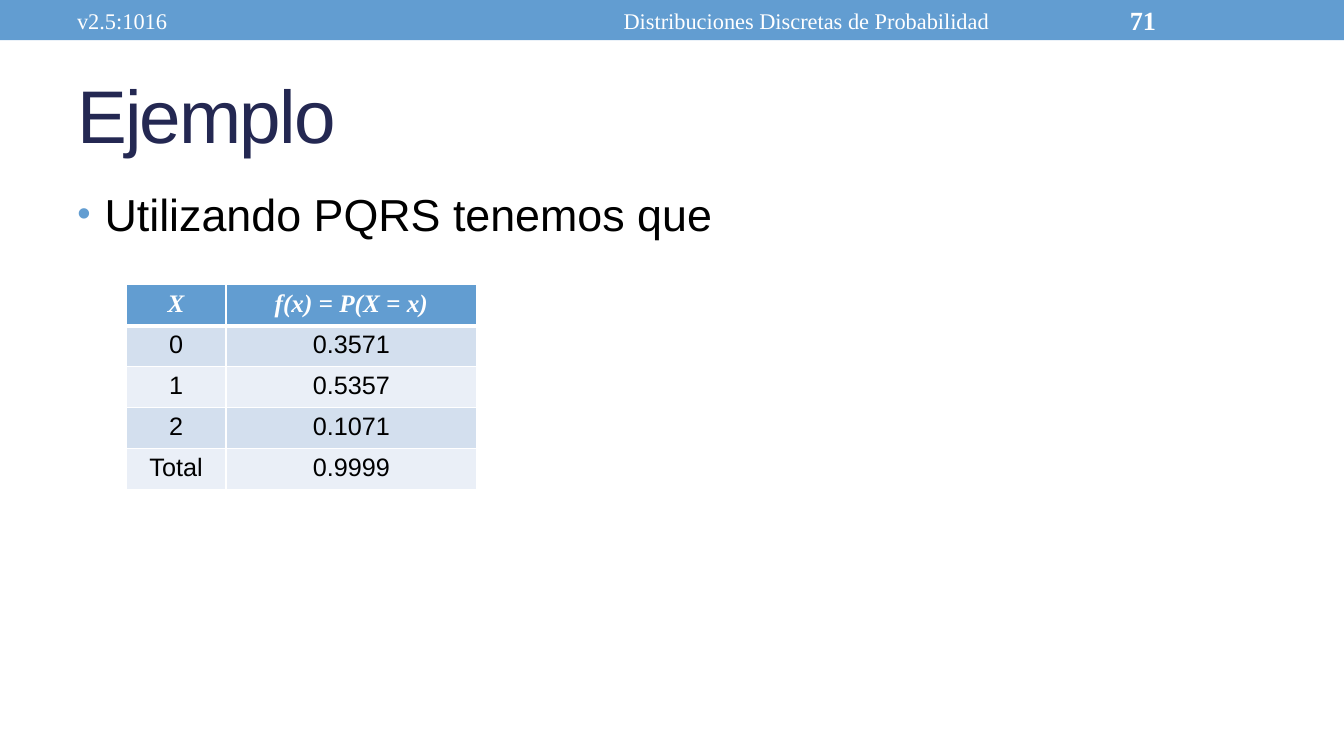
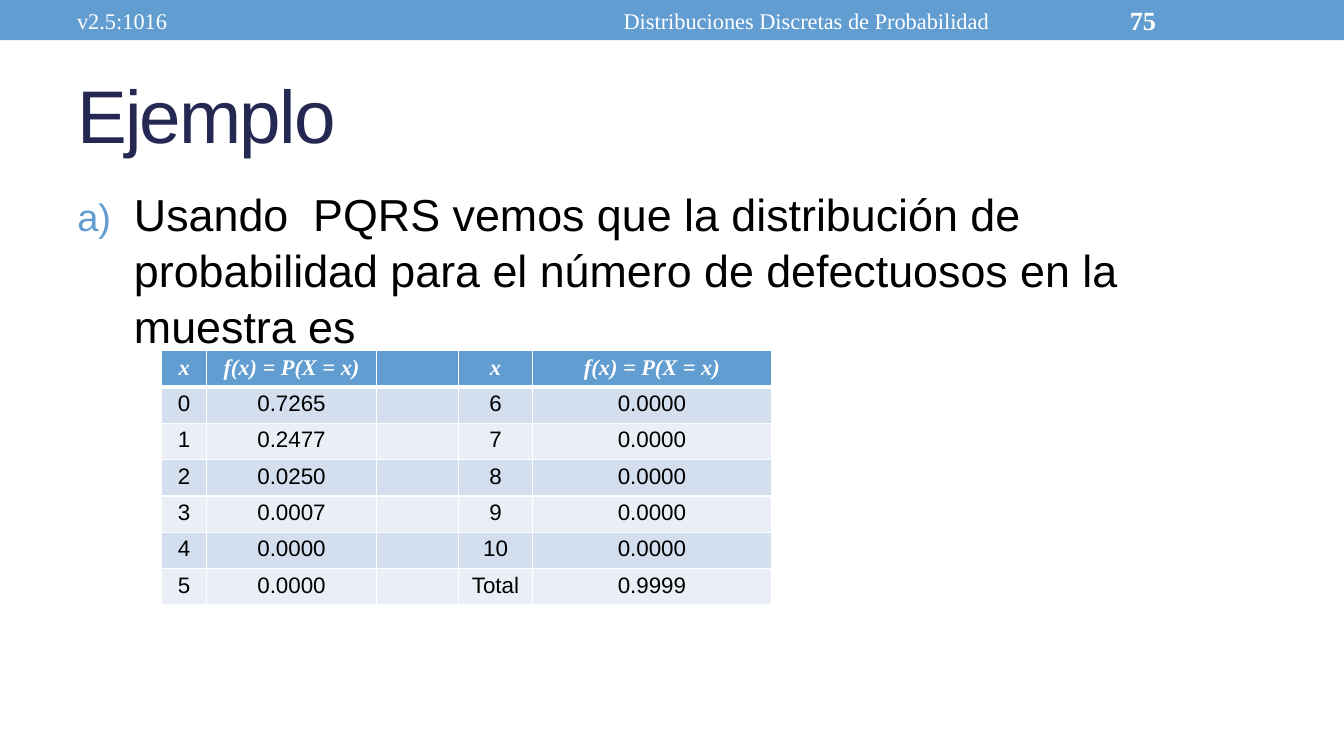
"""Build two example slides with tables of discrete probability distributions."""
import pptx
import pptx.dml.color
import pptx.enum.shapes
import pptx.enum.text
import pptx.oxml
import pptx.oxml.ns
import pptx.util

Pt = pptx.util.Pt
RGB = pptx.dml.color.RGBColor
ALIGN = pptx.enum.text.PP_ALIGN
ANCHOR = pptx.enum.text.MSO_ANCHOR
BLUE = RGB(0x62, 0x9D, 0xD1)
NAVY = RGB(0x24, 0x28, 0x52)
BLACK = RGB(0, 0, 0)
WHITE = RGB(0xFF, 0xFF, 0xFF)
BANDS = [RGB(0xD3, 0xDF, 0xEE), RGB(0xEA, 0xEF, 0xF7)]
SANS = "Arial"
SERIF = "Times New Roman"
NS = pptx.oxml.ns.nsdecls("a")


def say(frame, text, size, color, font=SANS, bold=False, italic=False,
        align=ALIGN.LEFT, anchor=ANCHOR.TOP, track=0):
    frame.word_wrap = True
    frame.auto_size = pptx.enum.text.MSO_AUTO_SIZE.NONE
    frame.vertical_anchor = anchor
    para = frame.paragraphs[0]
    para.alignment = align
    para.space_before = Pt(0)
    if not text:
        para._p.append(pptx.oxml.parse_xml(
            f'<a:endParaRPr {NS} sz="{size * 100}"/>'))
        return para
    run = para.add_run()
    run.text = text
    run.font.size = Pt(size)
    run.font.name = font
    run.font.bold = bold
    run.font.italic = italic
    run.font.color.rgb = color
    if track:
        run._r.get_or_add_rPr().set("spc", str(track))
    return para


HEAD = "f(x) = P(X = x)"
PAGES = [
    dict(num="71", text="Utilizando PQRS tenemos que", indent=19.5,
         mark='<a:buChar {} char="•"/>', left=90, top=203.5, size=18,
         high=29.2, pad=3.6, cols=[71.5, 179],
         rows=[["X", HEAD], ["0", "0.3571"], ["1", "0.5357"],
               ["2", "0.1071"], ["Total", "0.9999"]]),
    dict(num="75", text="Usando  PQRS vemos que la distribución de probabilidad "
         "para el número de defectuosos en la muestra es", indent=40.5,
         mark='<a:buAutoNum {} type="alphaLcParenR"/>', left=115.5, top=250.5,
         size=16, high=24.95, pad=3.2, cols=[32, 121.5, 58.5, 53, 170.5],
         rows=[["x", HEAD, "", "x", HEAD],
               ["0", "0.7265", "", "6", "0.0000"],
               ["1", "0.2477", "", "7", "0.0000"],
               ["2", "0.0250", "", "8", "0.0000"],
               ["3", "0.0007", "", "9", "0.0000"],
               ["4", "0.0000", "", "10", "0.0000"],
               ["5", "0.0000", "", "Total", "0.9999"]]),
]

deck = pptx.Presentation()
deck.slide_width = Pt(960)
deck.slide_height = Pt(540)

for page in PAGES:
    slide = deck.slides.add_slide(deck.slide_layouts[1])
    shapes = slide.shapes
    if page is PAGES[0]:
        band = shapes.add_shape(pptx.enum.shapes.MSO_SHAPE.RECTANGLE,
                                0, 0, deck.slide_width, Pt(28.8))
        band.shadow.inherit = False
        band.fill.solid()
        band.fill.fore_color.rgb = BLUE
        band.line.fill.background()
        deck.slide_master.shapes.element.insert(2, band.element)

    title, body = slide.placeholders
    for box, top, high in [(title, 42, 78), (body, 128, 382)]:
        box.left, box.top, box.width, box.height = Pt(48), Pt(top), Pt(864), Pt(high)
    say(title.text_frame, "Ejemplo", 53.3, NAVY, anchor=ANCHOR.MIDDLE, track=-130)
    para = say(body.text_frame, page["text"], 32, BLACK)
    para.line_spacing = 1.04
    prop = para._p.get_or_add_pPr()
    prop.set("marL", str(Pt(page["indent"])))
    prop.set("indent", str(-Pt(page["indent"])))
    for xml in [f'<a:buClr {NS}><a:srgbClr val="{BLUE}"/></a:buClr>',
                f'<a:buSzPct {NS} val="85000"/>',
                f'<a:buFont {NS} typeface="{SANS}"/>',
                page["mark"].format(NS)]:
        prop.append(pptx.oxml.parse_xml(xml))

    for text, left, width, size, align in [
            ("v2.5:1016", 48, 304, 16, ALIGN.LEFT),
            ("Distribuciones Discretas de Probabilidad", 360, 432, 16, ALIGN.CENTER),
            (page["num"], 800, 112, 18.7, ALIGN.LEFT)]:
        box = shapes.add_textbox(Pt(left), Pt(1.5), Pt(width), Pt(26))
        say(box.text_frame, text, size, WHITE, font=SERIF, align=align,
            bold=text == page["num"], anchor=ANCHOR.MIDDLE)

    rows, cols = page["rows"], page["cols"]
    table = shapes.add_table(len(rows), len(cols), Pt(page["left"]), Pt(page["top"]),
                             Pt(sum(cols)), Pt(page["high"] * len(rows))).table
    table.horz_banding = False
    for col, width in zip(table.columns, cols):
        col.width = Pt(width)
    for i, row in enumerate(rows):
        table.rows[i].height = Pt(page["high"])
        head = i == 0
        for j, text in enumerate(row):
            cell = table.cell(i, j)
            cell.margin_top = cell.margin_bottom = Pt(page["pad"])
            cell.fill.solid()
            cell.fill.fore_color.rgb = BLUE if head else BANDS[(i - 1) % 2]
            say(cell.text_frame, text, page["size"], WHITE if head else BLACK,
                font=SERIF if head else SANS, bold=head, italic=head,
                align=ALIGN.CENTER)
            edges = [("L", 1), ("R", 1), ("T", 3 if i == 1 else 1), ("B", 3 if head else 1)]
            for k, (side, width) in enumerate(edges):
                cell._tc.get_or_add_tcPr().insert(k, pptx.oxml.parse_xml(
                    f'<a:ln{side} {NS} w="{Pt(width)}"><a:solidFill>'
                    f'<a:srgbClr val="{WHITE}"/></a:solidFill></a:ln{side}>'))

deck.save("out.pptx")
